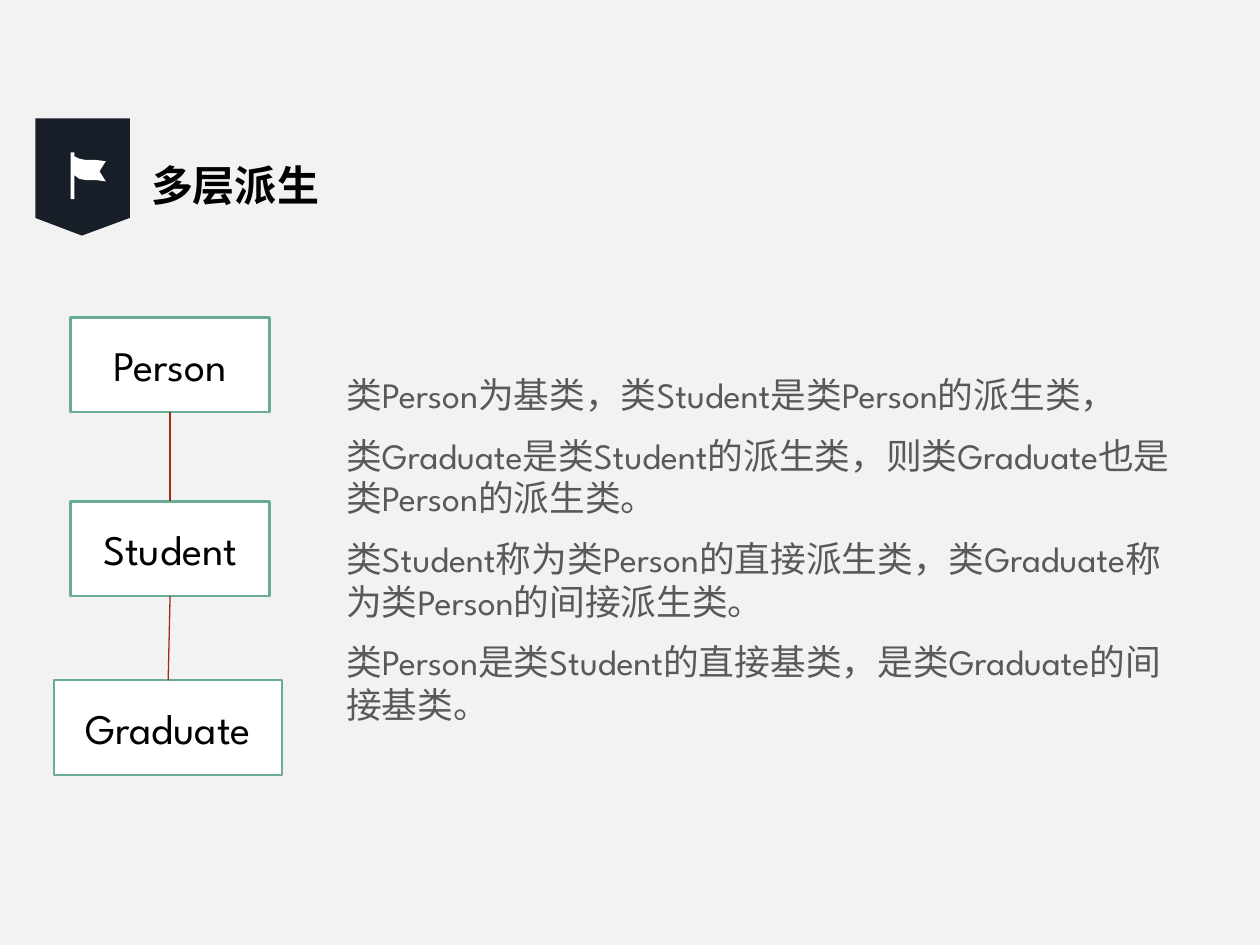
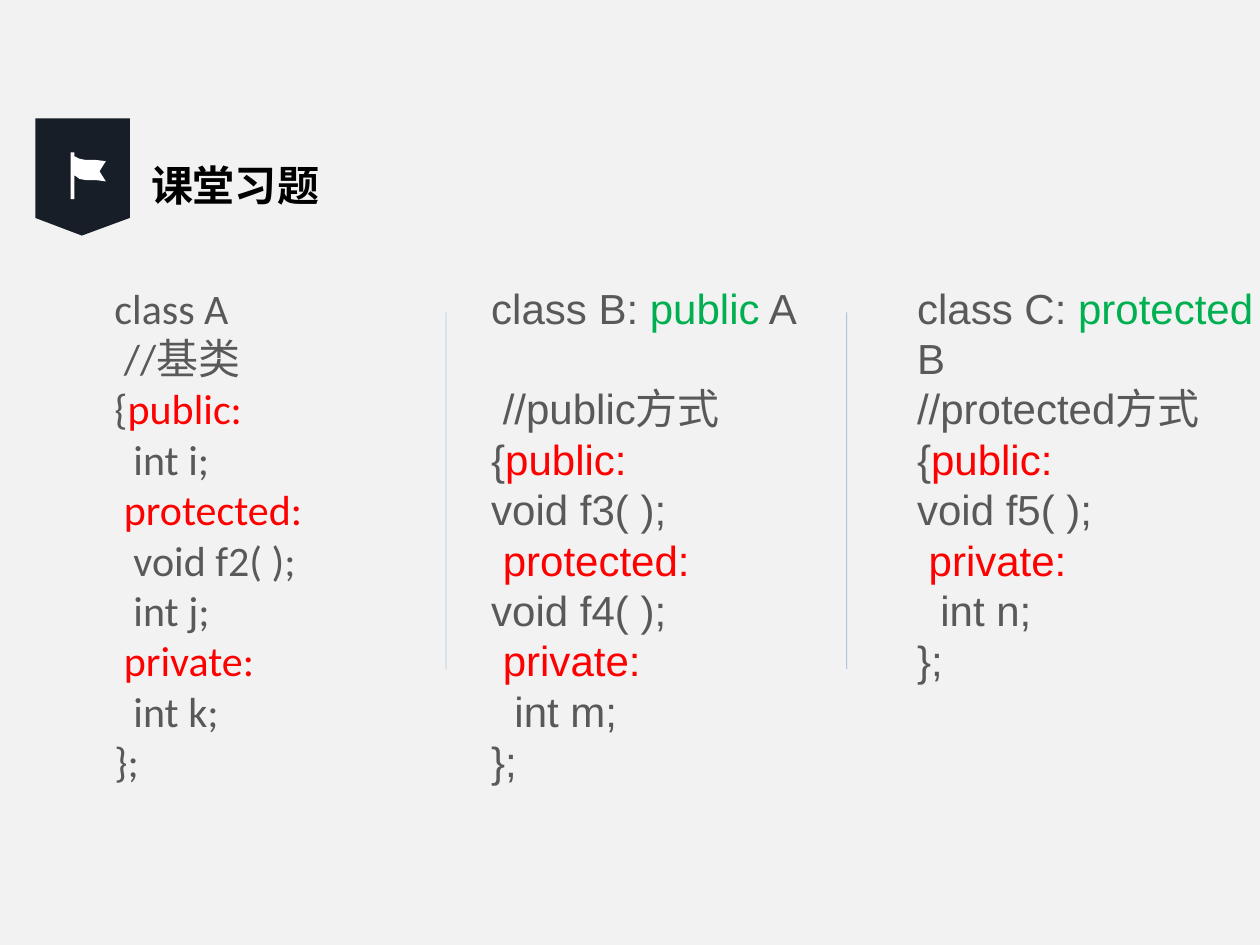
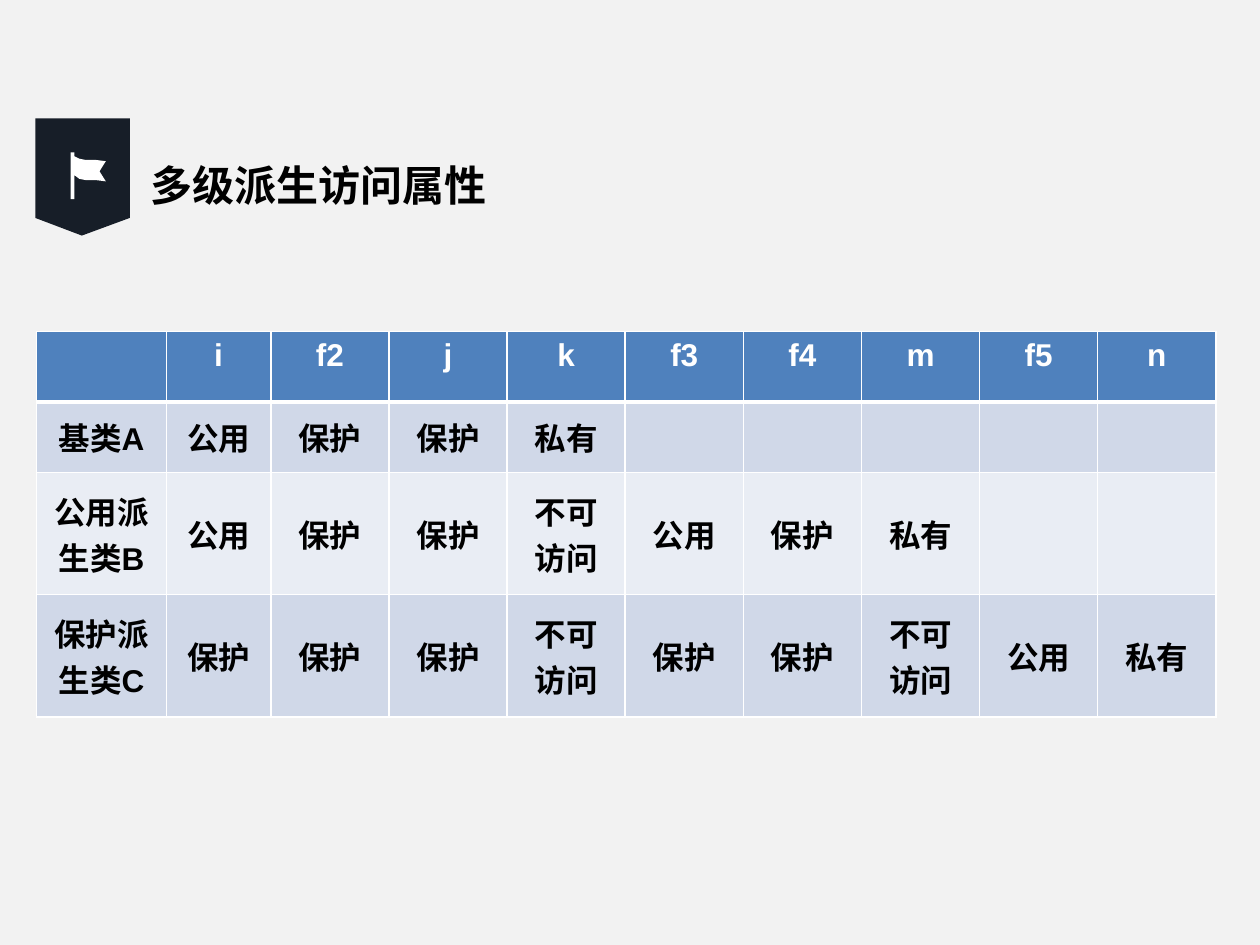
from lxml import etree
from pptx import Presentation
from pptx.dml.color import RGBColor
from pptx.enum.shapes import MSO_CONNECTOR as Connector, MSO_SHAPE as Shape
from pptx.enum.text import MSO_ANCHOR as Anchor, MSO_AUTO_SIZE as AutoSize, PP_ALIGN as Align
from pptx.oxml.ns import qn
from pptx.util import Inches, Pt

BACKGROUND = RGBColor(0xF2, 0xF2, 0xF2)
NAVY = RGBColor(0x17, 0x1E, 0x28)
WHITE = RGBColor(0xFF, 0xFF, 0xFF)
BLACK = RGBColor(0x00, 0x00, 0x00)
GRAY = RGBColor(0x59, 0x59, 0x59)
RED = RGBColor(0xFF, 0x00, 0x00)
GREEN = RGBColor(0x00, 0xB0, 0x50)
BOX_LINE = RGBColor(0x6A, 0xAC, 0x91)
LINK = RGBColor(0x9E, 0x2E, 0x0F)
BLUE = RGBColor(0x4F, 0x81, 0xBD)
BAND_DARK = RGBColor(0xD0, 0xD8, 0xE8)
BAND_LIGHT = RGBColor(0xE9, 0xED, 0xF4)
CHINESE_FONT = "Noto Sans CJK SC"
BODY_FONT = "League Spartan"

# Outlines in hundredths of an inch
BADGE = [(28, 94), (103, 94), (103, 173), (65, 187), (28, 173)]
FLAG = [(84, 128), (76, 127), (68, 127), (63, 126), (59, 124), (59, 121), (56, 121),
        (56, 158), (59, 158), (59, 139), (63, 142), (68, 143), (76, 143), (84, 144),
        (79, 136)]


def add_run(paragraph, text, size, font, color, bold=False):
    run = paragraph.add_run()
    run.text = text
    run.font.size = Pt(size)
    run.font.bold = bold
    run.font.color.rgb = color
    run.font.name = font
    etree.SubElement(run._r.get_or_add_rPr(), qn("a:ea"), typeface=CHINESE_FONT)


def add_line(slide, start, end, color, width):
    points = [Inches(value) for value in (*start, *end)]
    line = slide.shapes.add_connector(Connector.STRAIGHT, *points)
    line.line.color.rgb = color
    line.line.width = Pt(width)
    etree.SubElement(line._element.spPr, qn("a:effectLst"))
    return line


presentation = Presentation()
presentation.slide_width = Inches(10)
presentation.slide_height = Inches(7.5)
master_fill = presentation.slide_master.background.fill
master_fill.solid()
master_fill.fore_color.rgb = BACKGROUND

# Shared heading: badge, title and flag
slides = []
for title, width in [("多层派生", 1.55), ("课堂习题", 1.55), ("多级派生访问属性", 2.96)]:
    slide = presentation.slides.add_slide(presentation.slide_layouts[6])
    for outline, color in [(BADGE, NAVY), (FLAG, WHITE)]:
        builder = slide.shapes.build_freeform(*outline[0], scale=Inches(0.01))
        builder.add_line_segments(outline[1:], close=True)
        shape = builder.convert_to_shape()
        shape.shadow.inherit = False
        shape.fill.solid()
        shape.fill.fore_color.rgb = color
        shape.line.fill.background()
    title_box = slide.shapes.add_textbox(Inches(1.1), Inches(1.22), Inches(width), Inches(0.5))
    title_box.text_frame.word_wrap = False
    title_box.text_frame.auto_size = AutoSize.SHAPE_TO_FIT_TEXT
    add_run(title_box.text_frame.paragraphs[0], title, 24, CHINESE_FONT, BLACK, bold=True)
    slides.append(slide)
hierarchy_slide, exercise_slide, access_slide = slides

# Slide 1: explanation
explanation = [
    "类Person为基类，类Student是类Person的派生类，",
    "类Graduate是类Student的派生类，则类Graduate也是类Person的派生类。",
    "类Student称为类Person的直接派生类，类Graduate称为类Person的间接派生类。",
    "类Person是类Student的直接基类，是类Graduate的间接基类。",
]
text_box = hierarchy_slide.shapes.add_textbox(Inches(2.65), Inches(2.52), Inches(6.9), Inches(3.2))
frame = text_box.text_frame
frame.word_wrap = True
frame.margin_top = Inches(0.44)
for index, sentence in enumerate(explanation):
    paragraph = frame.add_paragraph() if index else frame.paragraphs[0]
    paragraph.line_spacing = Pt(24.5)
    paragraph.space_before = Pt(10 if index else 0)
    add_run(paragraph, sentence, 20.4, BODY_FONT, GRAY)

# Slide 1: class hierarchy
class_boxes = []
for name, left, top, width in [("Person", 0.56, 2.52, 1.58), ("Student", 0.56, 3.98, 1.58),
                               ("Graduate", 0.43, 5.4, 1.81)]:
    box = hierarchy_slide.shapes.add_shape(
        Shape.RECTANGLE, Inches(left), Inches(top), Inches(width), Inches(0.75))
    box.shadow.inherit = False
    box.fill.solid()
    box.fill.fore_color.rgb = WHITE
    box.line.color.rgb = BOX_LINE
    box.line.width = Pt(1.25)
    box.text_frame.vertical_anchor = Anchor.MIDDLE
    paragraph = box.text_frame.paragraphs[0]
    paragraph.alignment = Align.CENTER
    add_run(paragraph, name, 24, BODY_FONT, BLACK)
    class_boxes.append(box)
for base, derived in zip(class_boxes, class_boxes[1:]):
    link = add_line(hierarchy_slide, (1.35, 3.27), (1.35, 3.98), LINK, 0.75)
    link.begin_connect(base, 2)
    link.end_connect(derived, 0)

# Slide 2: column dividers
for x in (3.54, 6.72):
    divider = add_line(exercise_slide, (x, 2.48), (x, 5.31), BLUE, 0.5)
    color_element = divider._element.spPr.find(".//" + qn("a:srgbClr"))
    etree.SubElement(color_element, qn("a:alpha"), val="40000")

# Slide 2: code columns; bars enclose the highlighted keyword of a line
code_columns = [
    (0.81, "Calibri", ["class A", " //基类", "{|public:|", "  int i;", " |protected:|",
                       "  void f2( );", "  int j;", " |private:|", "  int k;", "};"]),
    (3.8, "Arial", ["class B: |public| A", " //public方式", "{|public:|", "void f3( );",
                    " |protected:|", "void f4( );", " |private:|", "  int m;", "};"]),
    (7.18, "Arial", ["class C: |protected| B", "//protected方式", "{|public:|", "void f5( );",
                     " |private:|", "  int n;", "};"]),
]
LINE_PITCH = Pt(28.8)
for left, font, lines in code_columns:
    code_box = exercise_slide.shapes.add_textbox(
        Inches(left), Inches(2.19), Inches(2.98), Inches(3.8))
    frame = code_box.text_frame
    frame.word_wrap = True
    for index, line in enumerate(lines):
        paragraph = frame.add_paragraph() if index else frame.paragraphs[0]
        paragraph.line_spacing = LINE_PITCH
        if line == " //public方式":
            paragraph.space_before = LINE_PITCH
        keyword_color = RED if index else GREEN
        for part_index, part in enumerate(line.split("|")):
            if part:
                add_run(paragraph, part, 24, font, keyword_color if part_index % 2 else GRAY)

# Slide 3: access table
access_rows = [
    ["", "i", "f2", "j", "k", "f3", "f4", "m", "f5", "n"],
    ["基类A", "公用", "保护", "保护", "私有", "", "", "", "", ""],
    ["公用派生类B", "公用", "保护", "保护", "不可访问", "公用", "保护", "私有", "", ""],
    ["保护派生类C", "保护", "保护", "保护", "不可访问", "保护", "保护", "不可访问", "公用", "私有"],
]
TABLE_WIDTH = 9.36
column_widths = [1.03, 0.83]
column_widths += [(TABLE_WIDTH - sum(column_widths)) / 8] * 8
row_heights = [0.56, 0.56, 0.97, 0.97]
row_fills = [BLUE, BAND_DARK, BAND_LIGHT, BAND_DARK]
table = access_slide.shapes.add_table(
    len(access_rows), len(column_widths), Inches(0.29), Inches(2.63),
    Inches(TABLE_WIDTH), Inches(sum(row_heights))).table
for column, width in zip(table.columns, column_widths):
    column.width = Inches(width)
for row_index, values in enumerate(access_rows):
    table.rows[row_index].height = Inches(row_heights[row_index])
    for column_index, value in enumerate(values):
        cell = table.cell(row_index, column_index)
        cell.vertical_anchor = Anchor.MIDDLE if row_index else Anchor.TOP
        paragraph = cell.text_frame.paragraphs[0]
        paragraph.alignment = Align.CENTER
        if value:
            add_run(paragraph, value, 18, "Arial", BLACK if row_index else WHITE, bold=True)

        # White borders, thicker between header and body, placed before the fill
        properties = cell._tc.get_or_add_tcPr()
        for side in ("L", "R", "T", "B"):
            under_header = (row_index, side) in [(0, "B"), (1, "T")]
            border = etree.SubElement(properties, qn("a:ln" + side),
                                      w=str(Pt(3 if under_header else 1)))
            border_fill = etree.SubElement(border, qn("a:solidFill"))
            etree.SubElement(border_fill, qn("a:srgbClr"), val=str(WHITE))
        cell.fill.solid()
        cell.fill.fore_color.rgb = row_fills[row_index]

presentation.save("out.pptx")
